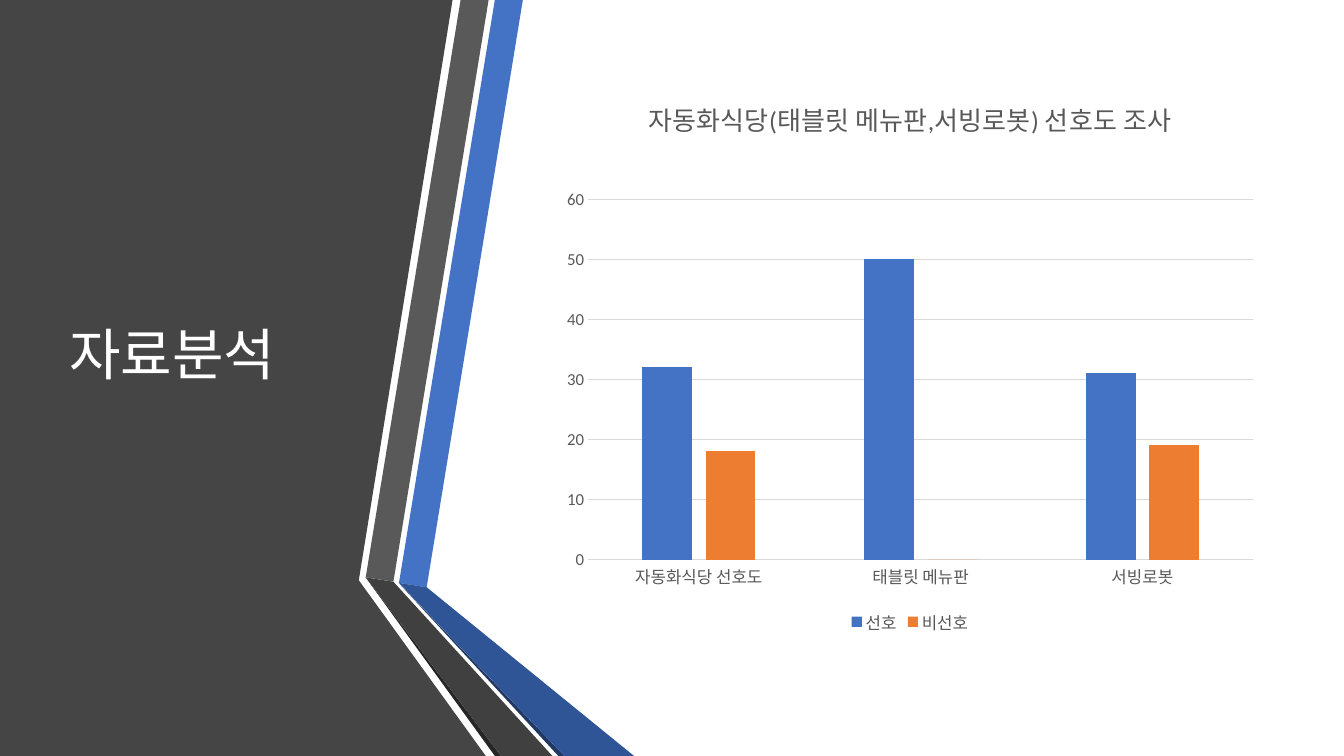
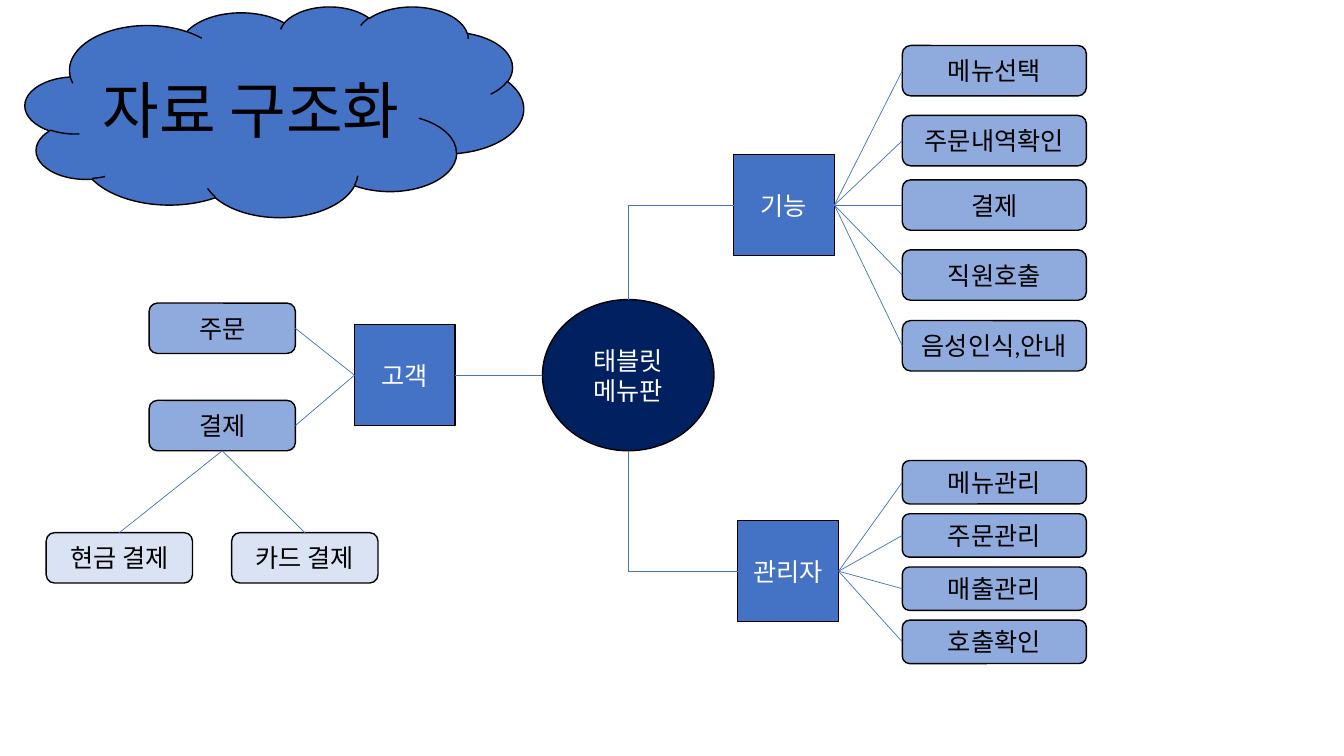
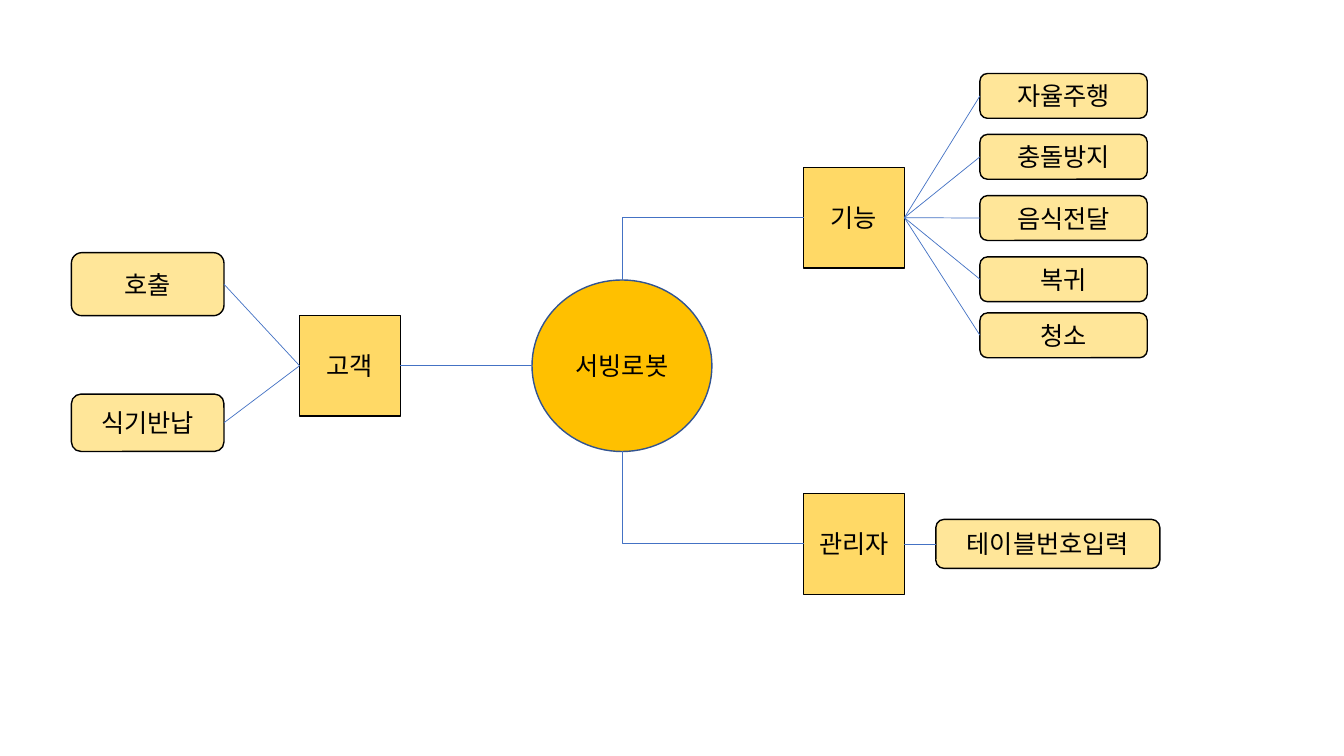
from pptx import Presentation
from pptx import util as u
from pptx.chart import data
from pptx.dml.color import RGBColor
from pptx.enum import chart as charts, shapes, text
from pptx.oxml import parse_xml
from pptx.oxml.ns import nsdecls, qn

WHITE = RGBColor(0xFF, 0xFF, 0xFF)
BLACK = RGBColor(0, 0, 0)
CHARCOAL = RGBColor(0x45, 0x45, 0x45)
GREY = RGBColor(0x59, 0x59, 0x59)
DARK_GREY = RGBColor(0x40, 0x40, 0x40)
DEEP_GREY = RGBColor(0x26, 0x26, 0x26)
GRID = RGBColor(0xD9, 0xD9, 0xD9)
BLUE = RGBColor(0x44, 0x72, 0xC4)
DARK_BLUE = RGBColor(0x2F, 0x55, 0x97)
DEEP_BLUE = RGBColor(0x20, 0x38, 0x64)
NAVY = RGBColor(0, 0x20, 0x60)
OUTLINE_BLUE = RGBColor(0x32, 0x54, 0x91)
SOFT_BLUE = RGBColor(0x8F, 0xAA, 0xDC)
PALE_BLUE = RGBColor(0xDA, 0xE3, 0xF3)
ORANGE = RGBColor(0xED, 0x7D, 0x31)
AMBER = RGBColor(0xFF, 0xC0, 0)
YELLOW = RGBColor(0xFF, 0xD9, 0x66)
PALE_YELLOW = RGBColor(0xFF, 0xE6, 0x99)

FONT = "Calibri"
SHAPE = shapes.MSO_SHAPE
TITLE_ONLY, BLANK = 5, 6
# Connection sites of the parent and of the child
TO_RIGHT, TO_LEFT, DOWN = (3, 1), (1, 3), (2, 0)


def set_format(target, values):
    for name, value in values.items():
        setattr(target, name, value)


def set_font(font, size, color):
    set_format(font, {"name": FONT, "size": u.Pt(size), "bold": False})
    font.color.rgb = color


def set_line(line, color, width):
    line.color.rgb = color
    line.width = u.Pt(width)


class Slides:
    """The deck, its style and the slide being drawn."""

    def __init__(self):
        self.deck = Presentation()
        set_format(self.deck, {"slide_width": u.Pt(960), "slide_height": u.Pt(540)})

    def add_page(self, layout):
        self.page = self.deck.slides.add_slide(self.deck.slide_layouts[layout])

    def title(self, words, place, size, color):
        """Fill the title placeholder and bring it to the front."""
        box = self.page.shapes.title
        set_format(box, dict(zip(("left", "top", "width", "height"), map(u.Pt, place))))
        set_format(box.text_frame, {
            "text": words, "word_wrap": True,
            "vertical_anchor": text.MSO_ANCHOR.MIDDLE,
            "auto_size": text.MSO_AUTO_SIZE.NONE})
        para = box.text_frame.paragraphs[0]
        set_format(para, {"alignment": text.PP_ALIGN.LEFT, "line_spacing": 0.9})
        set_font(para.font, size, color)
        self.page.shapes._spTree.append(box._element)

    def outline(self, points, fill):
        points = [(u.Pt(x), u.Pt(y)) for x, y in points]
        builder = self.page.shapes.build_freeform(*points[0], scale=1.0)
        builder.add_line_segments(points[1:], close=True)
        band = builder.convert_to_shape()
        band.shadow.inherit = False
        band.fill.solid()
        band.fill.fore_color.rgb = fill
        band.line.fill.background()

    def node(self, kind, place, fill, words="", color=BLACK, edge=BLACK):
        box = self.page.shapes.add_shape(kind, *map(u.Pt, place))
        box.shadow.inherit = False
        box.fill.solid()
        box.fill.fore_color.rgb = fill
        set_line(box.line, edge, 1)
        frame = box.text_frame
        set_format(frame, {"text": words, "word_wrap": True,
                           "vertical_anchor": text.MSO_ANCHOR.MIDDLE})
        for para in frame.paragraphs:
            para.alignment = text.PP_ALIGN.CENTER
            set_font(para.font, 18, color)
        return box

    def line(self, start, end, kind=shapes.MSO_CONNECTOR.STRAIGHT):
        link = self.page.shapes.add_connector(kind, *start, *end)
        set_line(link.line, BLUE, 0.5)
        link._element.spPr.append(parse_xml(f"<a:effectLst {nsdecls('a')}/>"))
        return link

    def corner(self, square, hub, hub_y):
        """Run from the square's left side across, then straight to the hub."""
        start = square.left, square.top + square.height // 2
        end = hub.left + hub.width // 2, hub_y
        link = self.line(start, end, shapes.MSO_CONNECTOR.ELBOW)
        link._element.spPr.find(qn("a:prstGeom")).set("prst", "bentConnector2")

    def hub_links(self, hub, customer, feature, manager):
        middle = hub.top + hub.height // 2
        self.line((customer.left + customer.width, middle), (hub.left, middle))
        self.corner(feature, hub, hub.top)
        self.corner(manager, hub, hub.top + hub.height)

    def branch(self, parent, sites, spots, size, fill):
        """Add a child box at each spot and join it to its parent."""
        children = []
        for words, spot in spots.items():
            child = self.node(SHAPE.ROUNDED_RECTANGLE, (*spot, *size), fill, words)
            link = self.line((0, 0), (0, 0))
            link.begin_connect(parent, sites[0])
            link.end_connect(child, sites[1])
            children.append(child)
        return children

    def column_chart(self, place, heading, categories, series):
        """Series maps each name to its values and colour."""
        table = data.CategoryChartData()
        table.categories = categories
        for name, (values, _) in series.items():
            table.add_series(name, values)
        chart = self.page.shapes.add_chart(
            charts.XL_CHART_TYPE.COLUMN_CLUSTERED, *map(u.Pt, place), table).chart
        set_font(chart.font, 12, GREY)
        chart.has_title = True
        chart.chart_title.include_in_layout = False
        frame = chart.chart_title.text_frame
        frame.text = heading
        set_font(frame.paragraphs[0].runs[0].font, 18.6, GREY)
        chart.has_legend = True
        set_format(chart.legend, {"position": charts.XL_LEGEND_POSITION.BOTTOM,
                                  "include_in_layout": False})
        plot = chart.plots[0]
        set_format(plot, {"gap_width": 219, "overlap": -27, "vary_by_categories": False})
        for bars, (_, color) in zip(plot.series, series.values()):
            bars.format.fill.solid()
            bars.format.fill.fore_color.rgb = color
        for axis in (chart.category_axis, chart.value_axis):
            set_format(axis, {"major_tick_mark": charts.XL_TICK_MARK.NONE,
                              "minor_tick_mark": charts.XL_TICK_MARK.NONE})
            set_font(axis.tick_labels.font, 12, GREY)
        set_line(chart.category_axis.format.line, GRID, 0.75)
        axis = chart.value_axis
        set_format(axis, {"minimum_scale": 0, "maximum_scale": 60, "major_unit": 10})
        axis.format.line.fill.background()
        set_line(axis.major_gridlines.format.line, GRID, 0.75)
        self.place_plot(chart, {"x": 0.05, "y": 0.22, "w": 0.93, "h": 0.64})

    def place_plot(self, chart, shares):
        area = chart._chartSpace.chart.plotArea
        for layout in area.findall(qn("c:layout")):
            area.remove(layout)
        modes = "".join(f'<c:{side}Mode val="edge"/>' for side in "xy")
        sizes = "".join(f'<c:{side} val="{share}"/>' for side, share in shares.items())
        area.insert(0, parse_xml(
            f'<c:layout {nsdecls("c")}><c:manualLayout><c:layoutTarget val="inner"/>'
            f"{modes}{sizes}</c:manualLayout></c:layout>"))


def analysis_slide(slides):
    slides.add_page(TITLE_ONLY)
    bands = [
        (CHARCOAL, [(0, 0), (323.3, 0), (256.3, 414.5), (347, 540), (0, 540)]),
        (BLUE, [(285, 416.4), (304.8, 419.5), (373.5, 0), (353.5, 0)]),
        (GREY, [(349, 0), (329, 0), (261.2, 412.4), (281, 415.5)]),
        (DEEP_GREY, [(261.2, 412.4), (353.5, 540), (357.8, 540)]),
        (DEEP_BLUE, [(285, 416.6), (398.9, 540), (403.2, 540)]),
        (DARK_BLUE, [(285, 416.4), (403.2, 540), (452.9, 540), (304.8, 419.5)]),
        (DARK_GREY, [(261.2, 412.4), (357.8, 540), (394.6, 540), (281, 415.5)]),
    ]
    for fill, points in bands:
        slides.outline(points, fill)
    slides.title("자료분석", (42.5, 54, 219, 402), 40, WHITE)
    slides.column_chart(
        (394.5, 54, 511, 402), "자동화식당(태블릿 메뉴판,서빙로봇) 선호도 조사",
        ["자동화식당 선호도", "태블릿 메뉴판", "서빙로봇"],
        {"선호": ((32, 50, 31), BLUE), "비선호": ((18, 0, 19), ORANGE)})


def tablet_slide(slides):
    slides.add_page(TITLE_ONLY)
    slides.node(SHAPE.CLOUD, (18, 4.5, 356, 150.5), BLUE)
    slides.title("자료 구조화", (66, 29, 828, 104), 44, BLACK)
    hub = slides.node(SHAPE.OVAL, (387.5, 214, 122.5, 108), NAVY, "태블릿\n메뉴판", WHITE)
    customer, feature, manager = [
        slides.node(SHAPE.RECTANGLE, (left, top, 72, 72), BLUE, words, WHITE)
        for words, left, top in (
            ("고객", 253.2, 232), ("기능", 524, 110.5), ("관리자", 527, 372))]
    slides.hub_links(hub, customer, feature, manager)

    small = (104.5, 36)
    _, payment = slides.branch(
        customer, TO_LEFT, {"주문": (106.5, 216.5), "결제": (106.5, 286)}, small, SOFT_BLUE)
    slides.branch(
        payment, DOWN, {"현금 결제": (33, 380.5), "카드 결제": (165.5, 380.5)},
        small, PALE_BLUE)
    features = {"메뉴선택": 32.5, "주문내역확인": 82.5, "결제": 128.5,
                "직원호출": 178.5, "음성인식,안내": 229}
    slides.branch(
        feature, TO_RIGHT, {words: (644.5, top) for words, top in features.items()},
        (131.5, 36), SOFT_BLUE)
    duties = ("메뉴관리", "주문관리", "매출관리", "호출확인")
    slides.branch(
        manager, TO_RIGHT,
        {words: (644.5, 329 + 38 * row) for row, words in enumerate(duties)},
        (131.5, 31), SOFT_BLUE)


def robot_slide(slides):
    slides.add_page(BLANK)
    hub = slides.node(
        SHAPE.OVAL, (380, 200, 128.5, 122.5), AMBER, "서빙로봇", edge=OUTLINE_BLUE)
    customer, feature, manager = [
        slides.node(SHAPE.RECTANGLE, (left, top, 72, 72), YELLOW, words)
        for words, left, top in (
            ("고객", 214, 225.25), ("기능", 574, 119.5), ("관리자", 574, 352.5))]
    slides.hub_links(hub, customer, feature, manager)

    slides.branch(customer, TO_LEFT, {"호출": (51, 180.5)}, (109, 45), PALE_YELLOW)
    slides.branch(customer, TO_LEFT, {"식기반납": (51, 281.5)}, (109, 41), PALE_YELLOW)
    features = {"자율주행": 52.5, "충돌방지": 96, "음식전달": 139.75,
                "복귀": 183.5, "청소": 223.5}
    slides.branch(
        feature, TO_RIGHT, {words: (700, top) for words, top in features.items()},
        (119.5, 32), PALE_YELLOW)
    slides.branch(
        manager, TO_RIGHT, {"테이블번호입력": (668.5, 371)}, (160, 35), PALE_YELLOW)


def main():
    slides = Slides()
    analysis_slide(slides)
    tablet_slide(slides)
    robot_slide(slides)
    slides.deck.save("out.pptx")


if __name__ == "__main__":
    main()
